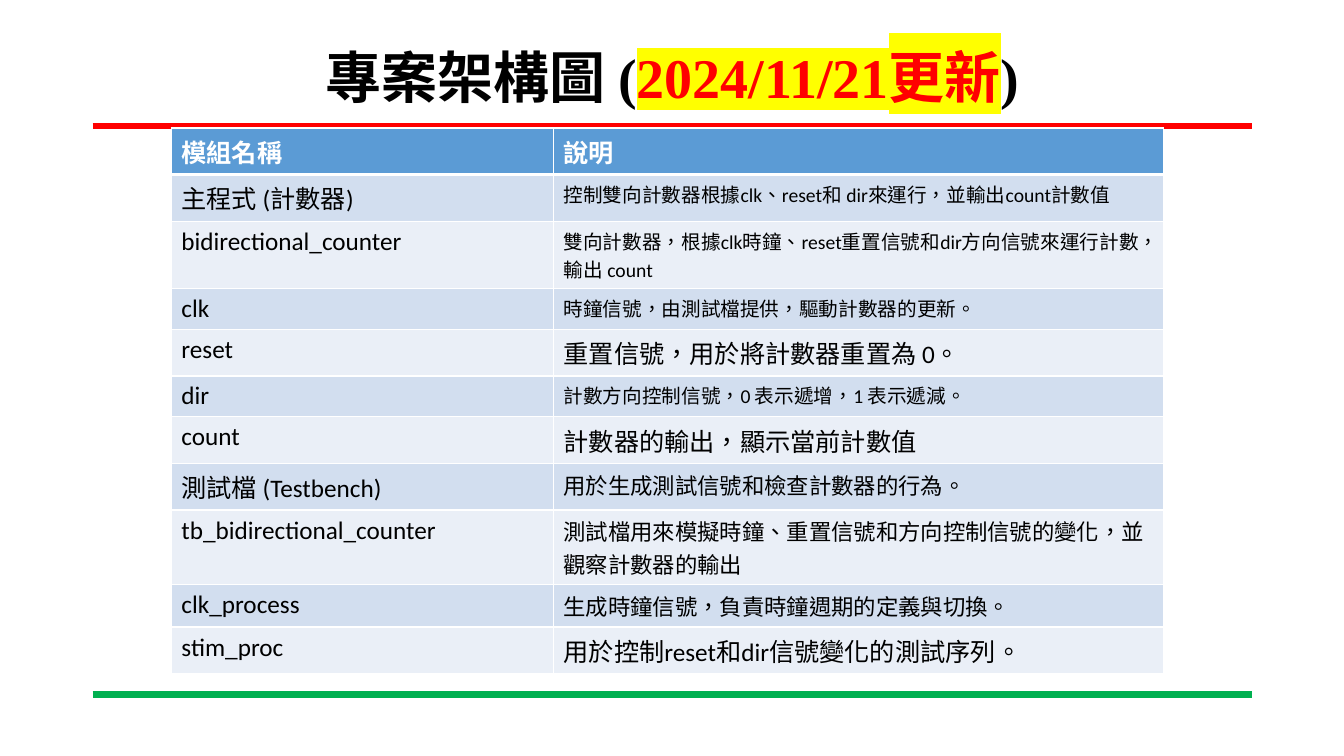
from lxml import etree
from pptx import Presentation
from pptx.dml.color import RGBColor
from pptx.enum.lang import MSO_LANGUAGE_ID
from pptx.enum.shapes import MSO_CONNECTOR
from pptx.enum.text import MSO_ANCHOR, MSO_AUTO_SIZE, PP_ALIGN
from pptx.oxml.ns import qn
from pptx.util import Inches, Pt

STRAIGHT = MSO_CONNECTOR.STRAIGHT
MIDDLE = MSO_ANCHOR.MIDDLE
NO_FIT = MSO_AUTO_SIZE.NONE
CENTER = PP_ALIGN.CENTER
CHINESE = MSO_LANGUAGE_ID.TRADITIONAL_CHINESE

BLACK = RGBColor(0x00, 0x00, 0x00)
WHITE = RGBColor(0xFF, 0xFF, 0xFF)
RED = RGBColor(0xFF, 0x00, 0x00)
GREEN = RGBColor(0x00, 0xB0, 0x50)
YELLOW = RGBColor(0xFF, 0xFF, 0x00)
HEADER_BLUE = RGBColor(0x5B, 0x9B, 0xD5)
BAND_DARK = RGBColor(0xD2, 0xDE, 0xEF)
BAND_LIGHT = RGBColor(0xEA, 0xEF, 0xF7)

TITLE_FONT = "Times New Roman"
TABLE_FONT = "Calibri"

# Text, colour, highlight
TITLE_PARTS = [
    ("專案架構圖 (", BLACK, None),
    ("2024/11/21更新", RED, YELLOW),
    (")", BLACK, None),
]

# Module name, description, description size
NAME_SIZE = 18
MODULES = [
    ("模組名稱", "說明", 18),
    ("主程式 (計數器)", "控制雙向計數器根據clk、reset和 dir來運行，並輸出count計數值", 14),
    ("bidirectional_counter",
     "雙向計數器，根據clk時鐘、reset重置信號和dir方向信號來運行計數，輸出 count", 14),
    ("clk", "時鐘信號，由測試檔提供，驅動計數器的更新。", 14),
    ("reset", "重置信號，用於將計數器重置為 0。", 18),
    ("dir", "計數方向控制信號，0 表示遞增，1 表示遞減。", 14),
    ("count", "計數器的輸出，顯示當前計數值", 18),
    ("測試檔 (Testbench)", "用於生成測試信號和檢查計數器的行為。", 16),
    ("tb_bidirectional_counter",
     "測試檔用來模擬時鐘、重置信號和方向控制信號的變化，並觀察計數器的輸出", 16),
    ("clk_process", "生成時鐘信號，負責時鐘週期的定義與切換。", 16),
    ("stim_proc", "用於控制reset和dir信號變化的測試序列。", 18),
]
COLUMN_WIDTHS = [3.79, 6.05]
ROW_HEIGHT = 0.37
SPECIAL_HEIGHTS = {0: 0.45, 2: 0.52}


def format_run(run, font_name, size, color, bold):
    font = run.font
    font.name = font_name
    font.size = Pt(size)
    font.bold = bold
    font.color.rgb = color
    font.language_id = CHINESE


def add_color(parent, color):
    etree.SubElement(parent, qn("a:srgbClr"), val=str(color))


def highlight_run(run, color):
    highlight = etree.Element(qn("a:highlight"))
    add_color(highlight, color)
    run.font._element.find(qn("a:solidFill")).addnext(highlight)


def set_borders(cell, top, bottom):
    properties = cell._tc.get_or_add_tcPr()
    sides = [("a:lnL", 1), ("a:lnR", 1), ("a:lnT", top), ("a:lnB", bottom)]
    for position, (side, width) in enumerate(sides):
        border = etree.Element(qn(side), w=str(Pt(width)))
        add_color(etree.SubElement(border, qn("a:solidFill")), WHITE)
        properties.insert(position, border)


def add_rule(slide, left, top, width, color):
    y = Inches(top)
    rule = slide.shapes.add_connector(
        STRAIGHT, Inches(left), y, Inches(left + width), y)
    rule.line.color.rgb = color
    rule.line.width = Pt(4.5)
    etree.SubElement(rule._element.spPr, qn("a:effectLst"))


def fill_title(slide, left, top, width, height):
    title = slide.shapes.title
    title.left, title.top = Inches(left), Inches(top)
    title.width, title.height = Inches(width), Inches(height)
    frame = title.text_frame
    frame.auto_size = NO_FIT
    frame.vertical_anchor = MIDDLE
    paragraph = frame.paragraphs[0]
    paragraph.alignment = CENTER
    paragraph.line_spacing = 0.9
    for text, color, highlight in TITLE_PARTS:
        run = paragraph.add_run()
        run.text = text
        format_run(run, TITLE_FONT, 40, color, True)
        if highlight is not None:
            highlight_run(run, highlight)


def add_module_table(slide, left, top):
    heights = [SPECIAL_HEIGHTS.get(row, ROW_HEIGHT) for row in range(len(MODULES))]
    table = slide.shapes.add_table(
        len(MODULES), len(COLUMN_WIDTHS), Inches(left), Inches(top),
        Inches(sum(COLUMN_WIDTHS)), Inches(sum(heights))).table
    for column, width in zip(table.columns, COLUMN_WIDTHS):
        column.width = Inches(width)

    for row, (name, description, size) in enumerate(MODULES):
        table.rows[row].height = Inches(heights[row])
        is_header = row == 0
        band = BAND_DARK if row % 2 else BAND_LIGHT
        for column, (text, points) in enumerate([(name, NAME_SIZE), (description, size)]):
            cell = table.cell(row, column)
            cell.text_frame.text = text
            format_run(cell.text_frame.paragraphs[0].runs[0], TABLE_FONT, points,
                       WHITE if is_header else BLACK, is_header)
            cell.fill.solid()
            cell.fill.fore_color.rgb = HEADER_BLUE if is_header else band
            # Thick line between the header and the first module
            set_borders(cell, 3 if row == 1 else 1, 3 if is_header else 1)


def build_architecture_slide(presentation):
    slide = presentation.slides.add_slide(presentation.slide_layouts[5])
    left, width = 0.92, 11.5
    # Rules under the title and at the foot
    add_rule(slide, left, 1.25, width, RED)
    add_rule(slide, left, 6.89, width, GREEN)
    # Title and module table
    fill_title(slide, left, 0.4, width, 0.79)
    add_module_table(slide, 1.7, 1.27)


def main():
    presentation = Presentation()
    presentation.slide_width = Inches(13.33)
    presentation.slide_height = Inches(7.5)
    build_architecture_slide(presentation)
    presentation.save("out.pptx")


if __name__ == "__main__":
    main()
